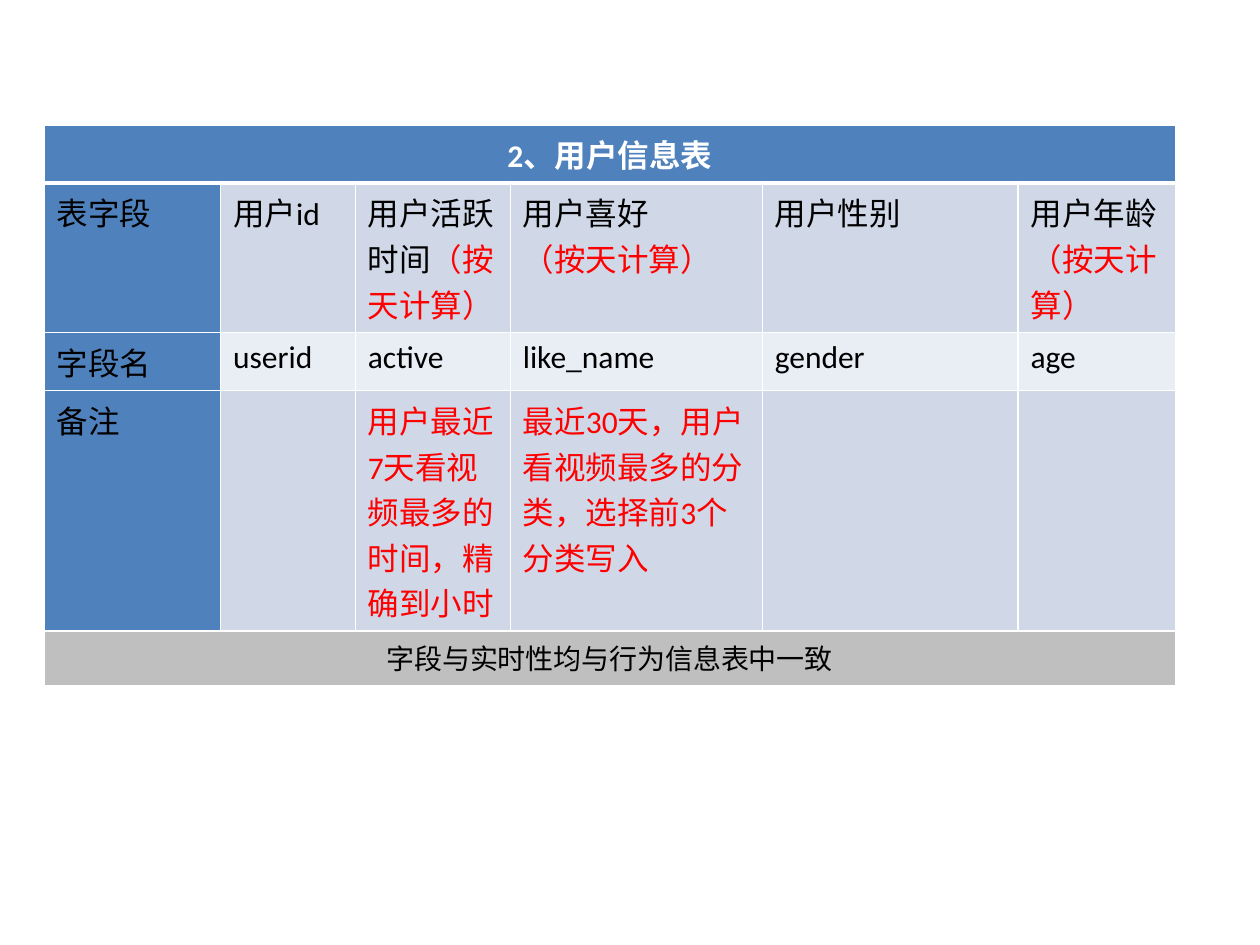
import pptx
import pptx.util
import pptx.dml.color
import pptx.enum.text
import pptx.oxml
import pptx.oxml.ns
from dataclasses import dataclass
from pptx.util import Inches


@dataclass(frozen=True)
class Theme:
    font: str = "Calibri"
    body: int = 18
    note: int = 16
    white: str = "FFFFFF"
    black: str = "000000"
    red: str = "FF0000"
    blue: str = "4F81BD"
    band: str = "D0D8E8"
    light: str = "E9EDF4"
    grey: str = "BFBFBF"
    line: float = 1
    heavy: float = 3


T = Theme()
TITLE = "2、用户信息表"
FOOTER = "字段与实时性均与行为信息表中一致"
DAILY = ("（按天计算）", T.red)
COL_WIDTHS = [1.4, 1.07, 1.23, 2, 2.03, 1.25]
ROW_HEIGHTS = [0.39, 0.41, 0.43, 0.43, 0.43]

# Each cell is a list of paragraphs; each paragraph is a list of (text, colour) runs
FIELD_ROWS = [
    (T.band, [
        [[("表字段", T.black)]],
        [[("用户id", T.black)]],
        [[("用户活跃时间", T.black), DAILY]],
        [[("用户喜好", T.black)], [DAILY]],
        [[("用户性别", T.black)]],
        [[("用户年龄", T.black)], [DAILY]],
    ]),
    (T.light, [[[(name, T.black)]] for name in
               ("字段名", "userid", "active", "like_name", "gender", "age")]),
    (T.band, [
        [[("备注", T.black)]],
        [],
        [[("用户最近7天看视频最多的时间，精确到小时", T.red)]],
        [[("最近30天，用户看视频最多的分类，选择前3个分类写入", T.red)]],
        [],
        [],
    ]),
]


def rgb(value):
    return pptx.dml.color.RGBColor.from_string(value)


def set_borders(cell, top=T.line, bottom=T.line):
    tcPr = cell._tc.get_or_add_tcPr()
    sides = (("lnL", T.line), ("lnR", T.line), ("lnT", top), ("lnB", bottom))
    for i, (tag, width) in enumerate(sides):
        tcPr.insert(i, pptx.oxml.parse_xml(
            f'<a:{tag} {pptx.oxml.ns.nsdecls("a")} w="{pptx.util.Pt(width)}">'
            f'<a:solidFill><a:srgbClr val="{T.white}"/></a:solidFill></a:{tag}>'))


def fill_cell(cell, paragraphs, fill, size=T.body, bold=False, align=None):
    cell.fill.solid()
    cell.fill.fore_color.rgb = rgb(fill)
    tf = cell.text_frame
    for i, runs in enumerate(paragraphs):
        p = tf.add_paragraph() if i else tf.paragraphs[0]
        p.alignment = align
        for text, color in runs:
            r = p.add_run()
            r.text = text
            r.font.name = T.font
            r.font.size = pptx.util.Pt(size)
            r.font.bold = bold
            r.font.color.rgb = rgb(color)


def user_table(s, left, top, width, height):
    n_rows, n_cols = len(ROW_HEIGHTS), len(COL_WIDTHS)
    frame = s.shapes.add_table(n_rows, n_cols, left, top, width, height)
    table = frame.table
    for column, w in zip(table.columns, COL_WIDTHS):
        column.width = Inches(w)
    for row, h in zip(table.rows, ROW_HEIGHTS):
        row.height = Inches(h)
    frame.height = height

    # Title and footer bands span every column
    center = pptx.enum.text.PP_ALIGN.CENTER
    last = n_rows - 1
    for i in (0, last):
        table.cell(i, 0).merge(table.cell(i, n_cols - 1))
    fill_cell(table.cell(0, 0), [[(TITLE, T.white)]], T.blue, bold=True, align=center)
    fill_cell(table.cell(last, 0), [[(FOOTER, T.black)]], T.grey, T.note, align=center)

    # Field rows: blue heading column, banded cells
    for i, (band, cells) in enumerate(FIELD_ROWS, start=1):
        for j, paragraphs in enumerate(cells):
            fill_cell(table.cell(i, j), paragraphs, T.blue if j == 0 else band)

    # White grid with a heavy rule under the title
    for i in range(n_rows):
        for j in range(n_cols):
            set_borders(table.cell(i, j),
                        top=T.heavy if i == 1 else T.line,
                        bottom=T.heavy if i == 0 else T.line)


def main():
    prs = pptx.Presentation()
    prs.slide_width, prs.slide_height = Inches(10), Inches(7.5)
    s = prs.slides.add_slide(prs.slide_layouts[6])
    user_table(s, Inches(0.35), Inches(0.99), Inches(8.98), Inches(3.86))
    prs.save("out.pptx")


if __name__ == "__main__":
    main()
